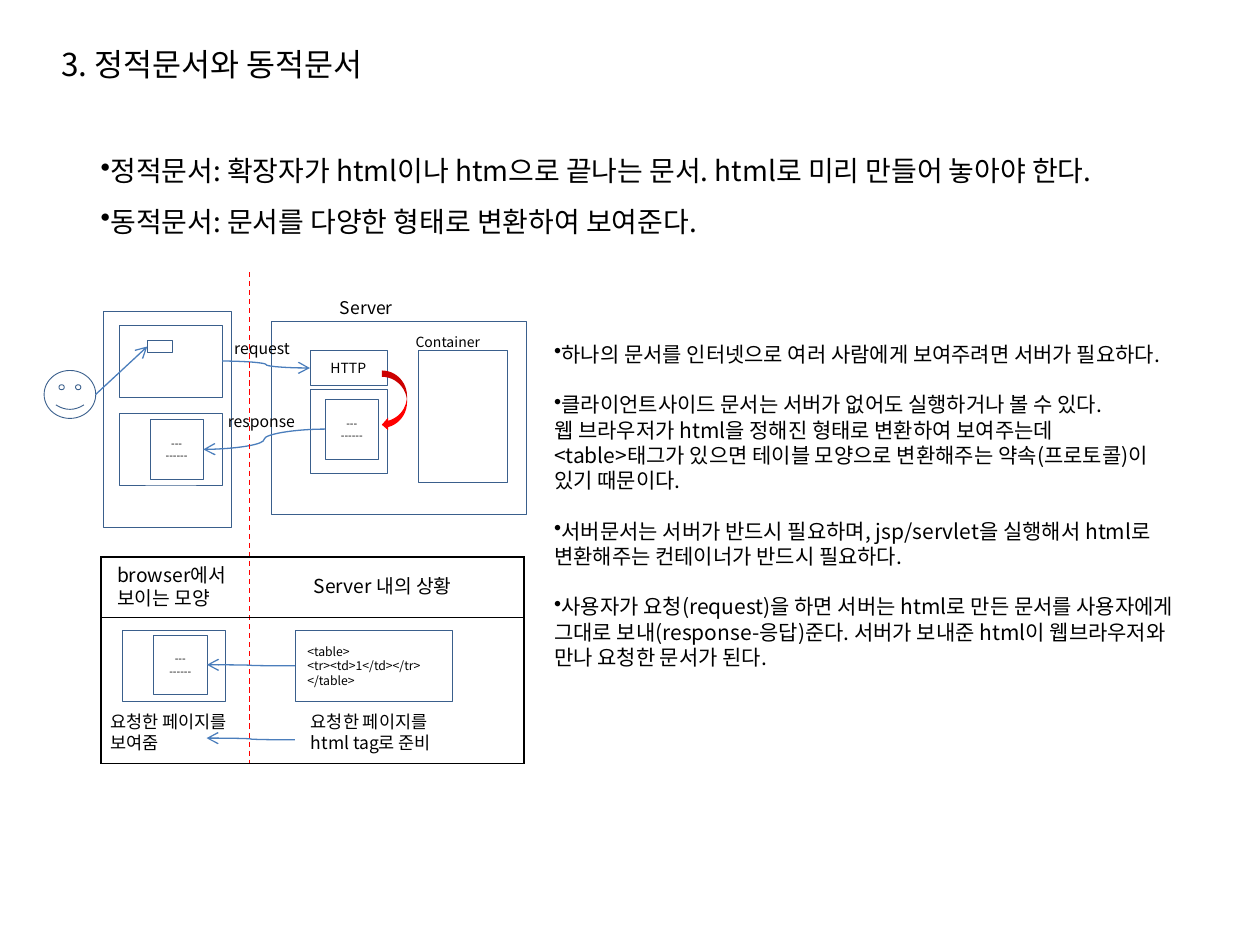
import pptx
import pptx.util
import pptx.dml.color
import pptx.enum.dml
import pptx.enum.shapes
import pptx.enum.text
import pptx.oxml
import pptx.oxml.ns

Pt = pptx.util.Pt
SHAPES = pptx.enum.shapes.MSO_SHAPE
CONNECTORS = pptx.enum.shapes.MSO_CONNECTOR
ALIGN = pptx.enum.text.PP_ALIGN
ANCHOR = pptx.enum.text.MSO_ANCHOR

FONT = "Noto Sans CJK KR"
COLORS = {"text": "000000", "outline": "3A5F8C", "arrow": "4B7EBC",
          "red": "FF0000", "border": "000000"}
TOP, LEFT, BOTTOM, RIGHT = range(4)
PAGE_LINES = ["---", "------"]


def color(name):
    return pptx.dml.color.RGBColor.from_string(COLORS[name])


def add_child(parent, tag, **attributes):
    child = pptx.oxml.parse_xml(f"<{tag} {pptx.oxml.ns.nsdecls('a')}/>")
    for name, value in attributes.items():
        child.set(name, value)
    parent.append(child)
    return child


def write(frame, lines, size, align=ALIGN.LEFT, spacing=None, gap=0):
    """Fill a frame line by line; a line that starts with a bullet opens an item."""
    for index, line in enumerate(lines):
        para = frame.paragraphs[0] if index == 0 else frame.add_paragraph()
        para.alignment = align
        if spacing:
            para.line_spacing = spacing
        if line.startswith("•"):
            if index and gap:
                para.space_before = Pt(gap)
            add_child(para._p.get_or_add_pPr(), "a:buChar", char="•")
        span = para.add_run()
        span.text = line.removeprefix("•")
        span.font.size = Pt(size)
        span.font.name = FONT
        span.font.color.rgb = color("text")
        add_child(span._r.get_or_add_rPr(), "a:ea", typeface=FONT)


def add_text(page, left, top, width, height, lines, size, wrap=False, **style):
    box = page.shapes.add_textbox(Pt(left), Pt(top), Pt(width), Pt(height))
    box.text_frame.word_wrap = wrap
    write(box.text_frame, lines, size, **style)


def add_figure(page, kind, left, top, width, height, line=0.25, fill=None):
    figure = page.shapes.add_shape(kind, Pt(left), Pt(top), Pt(width), Pt(height))
    figure.shadow.inherit = False
    if fill:
        figure.fill.solid()
        figure.fill.fore_color.rgb = color(fill)
        figure.line.fill.background()
    else:
        figure.fill.background()
        figure.line.color.rgb = color("outline")
        figure.line.width = Pt(line)
    return figure


def add_box(page, left, top, width, height, lines=(), size=6, align=ALIGN.CENTER):
    box = add_figure(page, SHAPES.RECTANGLE, left, top, width, height)
    box.text_frame.vertical_anchor = ANCHOR.MIDDLE
    write(box.text_frame, lines, size, align)
    return box


def add_document(page, left, top):
    return add_box(page, left, top, 30.5, 34, PAGE_LINES)


def add_browser_window(page, top):
    return add_box(page, 68.4, top, 58.5, 41)


def add_line(page, kind, start, end, tint="arrow"):
    line = page.shapes.add_connector(kind, *(Pt(value) for value in (*start, *end)))
    line.line.color.rgb = color(tint)
    line.line.width = Pt(0.75)
    add_child(line._element.spPr, "a:effectLst")
    return line


def add_arrow(page, kind, start=(0, 0), end=(0, 0), source=None, target=None):
    """source and target are (box, side) pairs that the arrow is joined to."""
    arrow = add_line(page, kind, start, end)
    if source:
        arrow.begin_connect(*source)
    if target:
        arrow.end_connect(*target)
    add_child(arrow.line._get_or_add_ln(), "a:tailEnd", type="arrow")


def add_frame_table(page, left, top, width, heights):
    frame = page.shapes.add_table(len(heights), 1, Pt(left), Pt(top),
                                  Pt(width), Pt(sum(heights)))
    table = frame.table
    table.first_row = table.horz_banding = False
    for row, height in zip(table.rows, heights):
        row.height = Pt(height)
        cell = row.cells[0]
        for side in "LRTB":
            border = add_child(cell._tc.get_or_add_tcPr(), f"a:ln{side}", w=str(Pt(1)))
            fill = add_child(border, "a:solidFill")
            add_child(fill, "a:srgbClr", val=COLORS["border"])
        cell.fill.background()


def add_intro(page):
    add_text(page, 28, 22.3, 205, 28.8, ["3. 정적문서와 동적문서"], 18)
    add_text(page, 50.4, 74.9, 635.8, 61.9, [
        "•정적문서: 확장자가 html이나 htm으로 끝나는 문서. html로 미리 만들어 놓아야 한다.",
        "•동적문서: 문서를 다양한 형태로 변환하여 보여준다.",
    ], 16, wrap=True, spacing=1.5)


def add_request_diagram(page):
    # User and server
    add_figure(page, SHAPES.SMILEY_FACE, 25.2, 211.7, 29.5, 27.4, line=0.5)
    add_box(page, 154.8, 183.6, 146.2, 110.2)
    http = add_box(page, 177.1, 200.2, 44, 20.2, ["HTTP"], 8)
    add_box(page, 177.1, 222.5, 44, 48.2)
    add_box(page, 239, 200.2, 51.1, 75.6)
    server_document = add_document(page, 185.8, 228.2)
    add_text(page, 187.2, 166.3, 55.4, 19.4, ["Server"], 10, wrap=True)
    add_text(page, 230.4, 187.2, 64.8, 17.3, ["Container"], 8, wrap=True)
    add_figure(page, SHAPES.CURVED_LEFT_ARROW, 218.2, 211.7, 14.4, 34.6, fill="red")

    # Browser
    add_box(page, 59, 177.8, 73.4, 123.8)
    request_window = add_browser_window(page, 185.8)
    add_browser_window(page, 236.2)
    browser_document = add_document(page, 85.7, 239.8)
    button = add_box(page, 84.2, 194.4, 14.4, 7.2)

    # Traffic between them
    add_arrow(page, CONNECTORS.CURVE, source=(request_window, RIGHT), target=(http, LEFT))
    add_arrow(page, CONNECTORS.CURVE, source=(server_document, LEFT),
              target=(browser_document, RIGHT))
    add_text(page, 126.7, 190.1, 59, 18, ["request"], 9, wrap=True)
    add_text(page, 123.1, 231.8, 67, 18, ["response"], 9, wrap=True)
    add_arrow(page, CONNECTORS.STRAIGHT, start=(54.7, 225.4), target=(button, LEFT))


def add_explanation(page):
    add_text(page, 309.6, 191.5, 407.5, 196.6, [
        "•하나의 문서를 인터넷으로 여러 사람에게 보여주려면 서버가 필요하다.",
        "•클라이언트사이드 문서는 서버가 없어도 실행하거나 볼 수 있다.",
        "웹 브라우저가 html을 정해진 형태로 변환하여 보여주는데",
        "<table>태그가 있으면 테이블 모양으로 변환해주는 약속(프로토콜)이",
        "있기 때문이다.",
        "•서버문서는 서버가 반드시 필요하며, jsp/servlet을 실행해서 html로",
        "변환해주는 컨테이너가 반드시 필요하다.",
        "•사용자가 요청(request)을 하면 서버는 html로 만든 문서를 사용자에게",
        "그대로 보내(response-응답)준다. 서버가 보내준 html이 웹브라우저와",
        "만나 요청한 문서가 된다.",
    ], 12, gap=14.5)


def add_comparison(page):
    # Border between browser and server, and the frame
    divider = add_line(page, CONNECTORS.STRAIGHT, (142.6, 155.5), (142.6, 436.3), "red")
    divider.line.dash_style = pptx.enum.dml.MSO_LINE.DASH
    add_frame_table(page, 57.6, 318.2, 241.9, [34.6, 83.5])
    add_text(page, 59.8, 318.2, 80.6, 33.8, ["browser에서", "보이는 모양"], 11)
    add_text(page, 172.1, 324.7, 97.9, 20.9, ["Server 내의 상황"], 11)

    # What each side holds
    add_box(page, 70, 360, 58.5, 41)
    shown = add_document(page, 87.8, 362.9)
    markup = add_box(page, 168.5, 360, 90, 41,
                     ["<table>", "<tr><td>1</td></tr>", "</table>"], 7, ALIGN.LEFT)
    add_text(page, 56.2, 402.5, 92.2, 31.7, ["요청한 페이지를", "보여줌"], 10)
    add_text(page, 170.6, 402.5, 92.2, 31.7, ["요청한 페이지를", "html tag로 준비"], 10)
    add_arrow(page, CONNECTORS.CURVE, source=(markup, LEFT), target=(shown, RIGHT))
    add_arrow(page, CONNECTORS.CURVE, start=(168.5, 422.8), end=(118.1, 421.8))


def main():
    deck = pptx.Presentation()
    deck.slide_width, deck.slide_height = Pt(720), Pt(540)
    page = deck.slides.add_slide(deck.slide_layouts[6])
    add_intro(page)
    add_request_diagram(page)
    add_explanation(page)
    add_comparison(page)
    deck.save("out.pptx")


if __name__ == "__main__":
    main()
